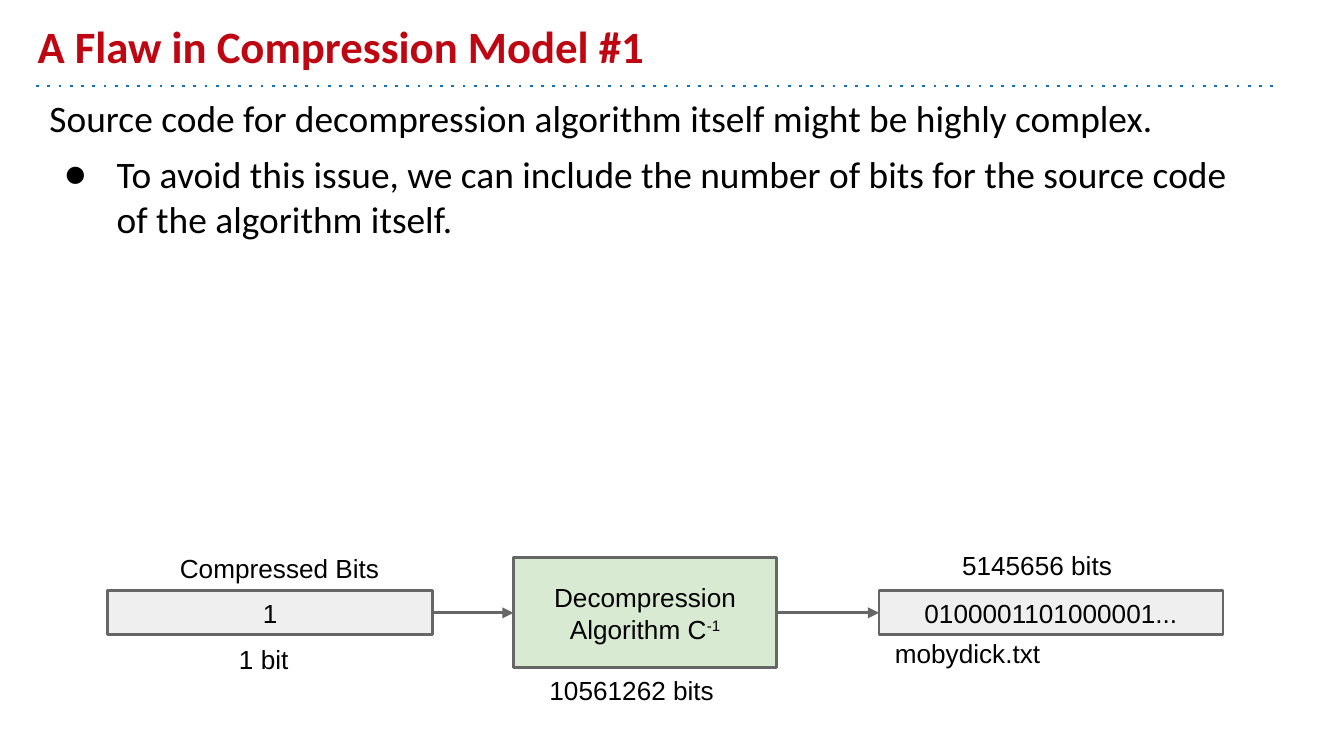
from lxml import etree
from pptx import Presentation
from pptx.dml.color import RGBColor
from pptx.enum.shapes import MSO_CONNECTOR, MSO_SHAPE
from pptx.enum.text import MSO_ANCHOR, MSO_AUTO_SIZE, PP_ALIGN
from pptx.oxml.ns import qn
from pptx.util import Inches, Pt

STRAIGHT = MSO_CONNECTOR.STRAIGHT
RECT = MSO_SHAPE.RECTANGLE
TOP, MIDDLE, BOTTOM = MSO_ANCHOR.TOP, MSO_ANCHOR.MIDDLE, MSO_ANCHOR.BOTTOM
LEFT, CENTER = PP_ALIGN.LEFT, PP_ALIGN.CENTER
FIXED = MSO_AUTO_SIZE.NONE

BLACK, RED, BLUE = "000000", "BE0712", "1072BD"
GRAY, PALE, GREEN = "666666", "EFEFEF", "D9EAD3"
WIDTH = 10
HEIGHT = WIDTH * 9 / 16
FLOW_Y = 4.56


def color(code):
    """Return the colour for a hex string."""
    return RGBColor.from_string(code)


def set_frame(shape, anchor):
    """Give a shape's text frame its insets, wrap and anchor."""
    frame = shape.text_frame
    frame.auto_size = FIXED
    frame.word_wrap = True
    frame.vertical_anchor = anchor
    frame.margin_left = frame.margin_right = Inches(0.1)
    frame.margin_top = frame.margin_bottom = Inches(0.1)
    return frame


def add_run(para, text, size=14, font="Arial", code=BLACK, bold=False, raised=False):
    """Add one formatted run to a paragraph."""
    run = para.add_run()
    run.text = text
    run.font.size = Pt(size)
    run.font.name = font
    run.font.bold = bold
    run.font.color.rgb = color(code)
    if raised:
        run.font._element.set("baseline", "30000")


def add_bullet(para):
    """Give a paragraph a hanging round bullet."""
    props = para._p.get_or_add_pPr()
    props.set("marL", str(Inches(0.5)))
    props.set("indent", str(Inches(-0.39)))
    tint = etree.SubElement(props, qn("a:buClr"))
    etree.SubElement(tint, qn("a:srgbClr"), val=BLACK)
    etree.SubElement(props, qn("a:buFont"), typeface="Calibri")
    etree.SubElement(props, qn("a:buChar"), char="●")


def add_title(slide, text):
    """Place and fill the title placeholder."""
    title = slide.shapes.title
    title.left, title.top = Inches(0.18), Inches(0.1)
    title.width, title.height = Inches(9), Inches(0.54)
    para = set_frame(title, BOTTOM).paragraphs[0]
    para.alignment = LEFT
    add_run(para, text, 24, "Calibri", RED, bold=True)


def add_body(slide, lead, point):
    """Add the lead sentence and its bullet point."""
    box = slide.shapes.add_textbox(Inches(0.27), Inches(0.61), Inches(9.23), Inches(3.2))
    frame = set_frame(box, TOP)
    add_run(frame.paragraphs[0], lead, 20, "Calibri")
    para = frame.add_paragraph()
    add_bullet(para)
    para.space_before = Pt(6)
    add_run(para, point, 20, "Calibri")


def add_label(slide, left, top, width, height, text):
    """Add a plain one-line label."""
    box = slide.shapes.add_textbox(Inches(left), Inches(top), Inches(width), Inches(height))
    add_run(set_frame(box, TOP).paragraphs[0], text)


def add_box(slide, left, width, height, fill, lines):
    """Add an outlined box of centred text on the flow line."""
    top = FLOW_Y - height / 2
    box = slide.shapes.add_shape(RECT, Inches(left), Inches(top), Inches(width), Inches(height))
    box.shadow.inherit = False
    box.fill.solid()
    box.fill.fore_color.rgb = color(fill)
    box.line.color.rgb = color(GRAY)
    box.line.width = Pt(1.5)
    frame = set_frame(box, MIDDLE)
    for i, runs in enumerate(lines):
        para = frame.add_paragraph() if i else frame.paragraphs[0]
        para.alignment = CENTER
        for text, raised in runs:
            add_run(para, text, raised=raised)


def add_line(slide, start, end, y, code, tag, **attrs):
    """Add a level line with one extra line property."""
    line = slide.shapes.add_connector(STRAIGHT, Inches(start), Inches(y), Inches(end), Inches(y))
    line.line.color.rgb = color(code)
    line.line.width = Pt(1.5)
    etree.SubElement(line.line._get_or_add_ln(), qn(tag), **attrs)
    etree.SubElement(line._element.spPr, qn("a:effectLst"))


def main():
    """Build the slide and save it."""
    deck = Presentation()
    deck.slide_width, deck.slide_height = Inches(WIDTH), Inches(HEIGHT)
    slide = deck.slides.add_slide(deck.slide_layouts[5])

    add_line(slide, 0.27, 9.5, 0.64, BLUE, "a:prstDash", val="dot")
    add_title(slide, "A Flaw in Compression Model #1")
    add_body(
        slide,
        "Source code for decompression algorithm itself might be highly complex.",
        "To avoid this issue, we can include the number of bits for the source code "
        "of the algorithm itself.",
    )

    method = [[("Decompression", False)], [("Algorithm C", False), ("-1", True)]]
    add_box(slide, 0.8, 2.42, 0.33, PALE, [[("1", False)]])
    add_box(slide, 3.82, 1.96, 0.82, GREEN, method)
    add_box(slide, 6.54, 2.56, 0.33, PALE, [[("0100001101000001...", False)]])
    for start, end in [(3.22, 3.82), (5.78, 6.54)]:
        add_line(slide, start, end, FLOW_Y, GRAY, "a:tailEnd", type="triangle")

    labels = [
        (1.24, 4.01, 1.77, 0.33, "Compressed Bits"),
        (1.68, 4.69, 0.76, 0.3, "1 bit"),
        (3.99, 4.92, 1.96, 0.3, "10561262 bits"),
        (7.06, 3.99, 1.96, 0.3, "5145656 bits"),
        (6.56, 4.64, 2.56, 0.82, "mobydick.txt"),
    ]
    for label in labels:
        add_label(slide, *label)

    deck.save("out.pptx")


if __name__ == "__main__":
    main()
